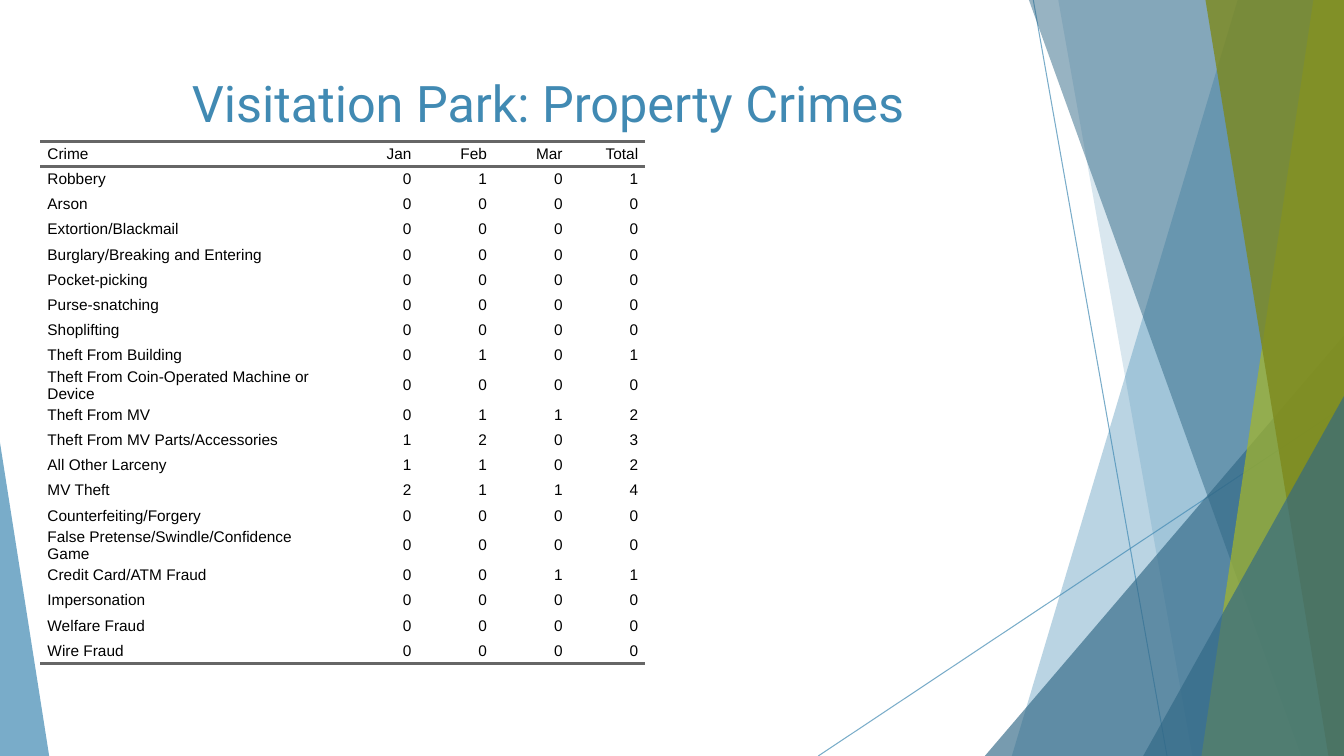
import pptx
import pptx.dml.color
import pptx.enum.shapes
import pptx.enum.text
import pptx.oxml
import pptx.oxml.ns
import pptx.util
from lxml import etree

Cm = pptx.util.Cm
Pt = pptx.util.Pt
qn = pptx.oxml.ns.qn

COLORS = {
    "blue": "418AB3",
    "navy": "316886",
    "lime": "A6B727",
    "olive": "7D891D",
    "rule": "666666",
    "text": "000000",
}
SLIDE_W, SLIDE_H = 33.87, 19.05
NO_GRID_STYLE = "{2D5ABB26-0587-4C30-8999-92F81FD0307C}"

HEADER = ("Crime", "Jan", "Feb", "Mar", "Total")
CRIMES = [
    ("Robbery", 0, 1, 0, 1),
    ("Arson", 0, 0, 0, 0),
    ("Extortion/Blackmail", 0, 0, 0, 0),
    ("Burglary/Breaking and Entering", 0, 0, 0, 0),
    ("Pocket-picking", 0, 0, 0, 0),
    ("Purse-snatching", 0, 0, 0, 0),
    ("Shoplifting", 0, 0, 0, 0),
    ("Theft From Building", 0, 1, 0, 1),
    ("Theft From Coin-Operated Machine or Device", 0, 0, 0, 0),
    ("Theft From MV", 0, 1, 1, 2),
    ("Theft From MV Parts/Accessories", 1, 2, 0, 3),
    ("All Other Larceny", 1, 1, 0, 2),
    ("MV Theft", 2, 1, 1, 4),
    ("Counterfeiting/Forgery", 0, 0, 0, 0),
    ("False Pretense/Swindle/Confidence Game", 0, 0, 0, 0),
    ("Credit Card/ATM Fraud", 0, 0, 1, 1),
    ("Impersonation", 0, 0, 0, 0),
    ("Welfare Fraud", 0, 0, 0, 0),
    ("Wire Fraud", 0, 0, 0, 0),
]


class SlideBuilder:
    """Hold the slide and its style, and draw each kind of element."""

    def __init__(self, slide):
        self.slide = slide
        self.shapes = slide.shapes
        self.title_font = "Roboto"
        self.body_font = "Arial"

    def paint(self, fill, color, alpha):
        fill.solid()
        fill.fore_color.rgb = pptx.dml.color.RGBColor.from_string(COLORS[color])
        clr = fill._xPr.find(qn("a:solidFill"))[0]
        etree.SubElement(clr, qn("a:alpha")).set("val", str(alpha * 1000))

    def style_shape(self, sp, color, alpha):
        sp.shadow.inherit = False
        self.paint(sp.fill, color, alpha)
        sp.line.fill.background()

    def line(self, x1, y1, x2, y2):
        cxn = self.shapes.add_connector(
            pptx.enum.shapes.MSO_CONNECTOR.STRAIGHT, Cm(x1), Cm(y1), Cm(x2), Cm(y2))
        cxn.line.width = Pt(0.75)
        self.paint(cxn.line.fill, "blue", 70)
        etree.SubElement(cxn._element.spPr, qn("a:effectLst"))

    def panel(self, top_x, bottom_x, color, alpha):
        builder = self.shapes.build_freeform(Cm(top_x), 0)
        corners = [(SLIDE_W, 0), (SLIDE_W, SLIDE_H), (bottom_x, SLIDE_H)]
        builder.add_line_segments([(Cm(x), Cm(y)) for x, y in corners], close=True)
        self.style_shape(builder.convert_to_shape(), color, alpha)

    def triangle(self, x, y, w, color, alpha, apex):
        sp = self.shapes.add_shape(
            pptx.enum.shapes.MSO_SHAPE.ISOSCELES_TRIANGLE,
            Cm(x), Cm(y), Cm(w), Cm(SLIDE_H - y))
        sp.adjustments[0] = apex
        self.style_shape(sp, color, alpha)

    def format_text(self, p, font, size, color, align):
        p.alignment = align
        for r in p.runs:
            r.font.name = font
            r.font.size = Pt(size)
            r.font.color.rgb = pptx.dml.color.RGBColor.from_string(COLORS[color])

    def title(self, text, x, y, w, h):
        tf = self.shapes.add_textbox(Cm(x), Cm(y), Cm(w), Cm(h)).text_frame
        tf.word_wrap = True
        tf.text = text
        self.format_text(tf.paragraphs[0], self.title_font, 36, "blue",
                         pptx.enum.text.PP_ALIGN.CENTER)

    def cell(self, cell, text, align, borders):
        cell.margin_left = cell.margin_right = cell.margin_top = cell.margin_bottom = 0
        cell.vertical_anchor = pptx.enum.text.MSO_ANCHOR.MIDDLE
        cell.fill.background()
        cell.text_frame.text = text
        p = cell.text_frame.paragraphs[0]
        p.space_after = Pt(5)
        pPr = p._p.get_or_add_pPr()
        for side in ("marL", "marR"):
            pPr.set(side, str(Pt(5)))
        self.format_text(p, self.body_font, 11, "text", align)
        tcPr = cell._tc.get_or_add_tcPr()
        for i, tag in enumerate(borders):
            ln = etree.Element(qn(tag), w=str(Pt(2)))
            solid = etree.SubElement(ln, qn("a:solidFill"))
            etree.SubElement(solid, qn("a:srgbClr")).set("val", COLORS["rule"])
            tcPr.insert(i, ln)

    def table(self, rows, x, y, w, h, first_w):
        n_rows, n_cols = len(rows), len(rows[0])
        tbl = self.shapes.add_table(n_rows, n_cols, Cm(x), Cm(y), Cm(w), Cm(h)).table
        tbl.first_row = tbl.horz_banding = False
        tbl._tbl.tblPr.find(qn("a:tableStyleId")).text = NO_GRID_STYLE
        for j, col in enumerate(tbl.columns):
            col.width = Cm((w - first_w) / (n_cols - 1) if j else first_w)
        for i, row in enumerate(rows):
            borders = {0: ("a:lnT", "a:lnB"), n_rows - 1: ("a:lnB",)}.get(i, ())
            for j, value in enumerate(row):
                align = pptx.enum.text.PP_ALIGN.RIGHT if j else pptx.enum.text.PP_ALIGN.LEFT
                self.cell(tbl.cell(i, j), str(value), align, borders)


def main():
    prs = pptx.Presentation()
    prs.slide_width, prs.slide_height = Cm(SLIDE_W), Cm(SLIDE_H)
    s = SlideBuilder(prs.slides.add_slide(prs.slide_layouts[6]))

    s.line(26.04, 0, 29.41, SLIDE_H)
    s.line(SLIDE_W, 10.24, 20.62, SLIDE_H)
    s.panel(31.19, 25.5, "blue", 36)
    s.panel(26.67, 30.05, "blue", 20)
    s.triangle(24.82, 8.46, 9.05, "navy", 66, apex=1)
    s.panel(25.93, 32.79, "navy", 50)
    s.panel(33.1, 30.28, "lime", 70)
    s.panel(30.38, 33.48, "olive", 80)
    s.triangle(28.81, 9.98, 5.06, "navy", 66, apex=1)
    s.triangle(0, 11.15, 1.24, "blue", 70, apex=0)

    s.table([HEADER] + CRIMES, 1.02, 3.56, 15.24, 12.7, first_w=7.62)
    s.title("Visitation Park: Property Crimes", 1.88, 1.7, 23.88, 3.66)

    prs.save("out.pptx")


if __name__ == "__main__":
    main()
